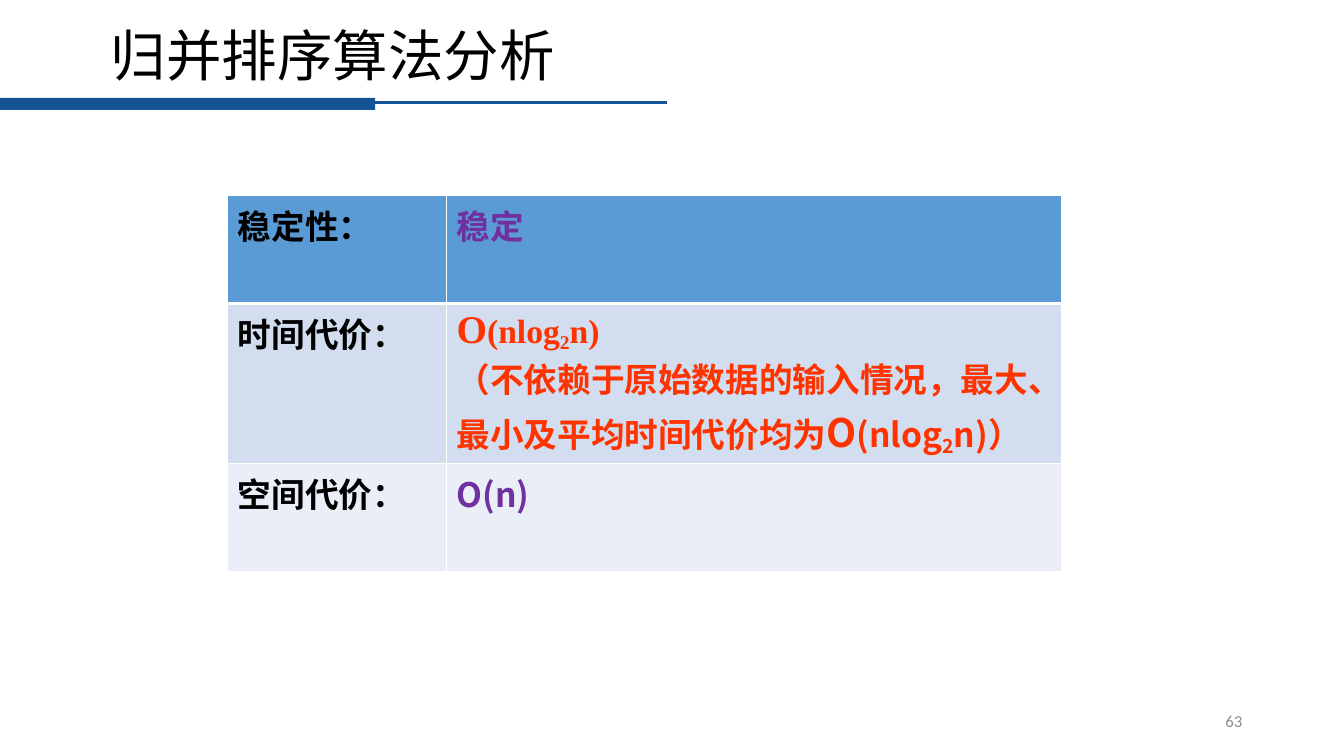
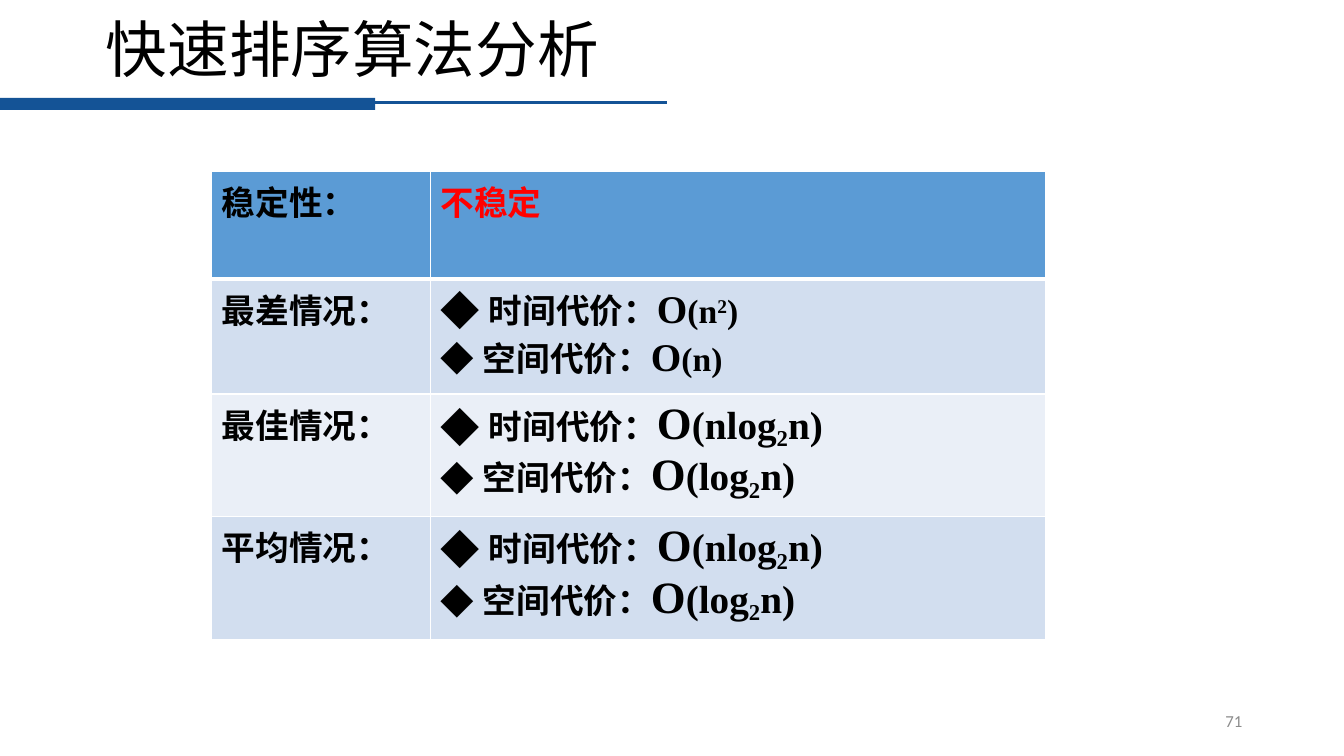
from dataclasses import dataclass

from lxml import etree
from pptx import Presentation
from pptx.dml.color import RGBColor
from pptx.enum import shapes, text
from pptx.oxml import ns
from pptx.util import Inches, Pt

BAND = "145396"
HEADER, DARK_ROW, LIGHT_ROW = "5B9BD5", "D2DEEF", "EAEFF7"
WHITE, BLACK, GRAY = "FFFFFF", "000000", "8C8C8C"
PURPLE, ORANGE, RED = "7030A0", "FF3300", "FF0000"
LATIN, CJK, SERIF = "Calibri", "Noto Sans CJK SC", "Times New Roman"
COLUMN_WIDTHS = (2.17, 6.1)
SUBSCRIPT, SUPERSCRIPT = -18, 30


@dataclass
class Run:
    text: str
    font: str = CJK
    size: int = 24
    baseline: int = 0  # percent: below zero is a subscript


@dataclass
class Line:
    runs: list
    color: str = BLACK
    indent: float = 0  # hanging indent; above zero adds a bullet
    bullet_percent: int = 100


def rgb(value):
    return RGBColor.from_string(value)


def add_element(parent, tag, **attributes):
    return etree.SubElement(parent, ns.qn(tag), attributes)


def set_font(font, name, size, color):
    font.name, font.size = name, Pt(size)
    font.color.rgb = rgb(color)


def big_o(inside, digit="", after="", size=24, font=SERIF, baseline=SUBSCRIPT):
    """Runs of a complexity: a larger O, then its bracket with a raised or lowered digit."""
    runs = [Run("O", font, size + 4), Run("(" + inside, font, size)]
    if digit:
        runs += [Run(digit, font, size, baseline), Run(after, font, size)]
    return runs


def costs(time, space):
    """Two bulleted lines: time cost, then space cost."""
    return [
        Line([Run("时间代价：")] + time, indent=0.48, bullet_percent=117),
        Line([Run("空间代价：")] + space, indent=0.42),
    ]


def add_bullet(paragraph, line):
    properties = paragraph._p.get_or_add_pPr()
    properties.set("marL", str(Inches(line.indent)))
    properties.set("indent", str(-Inches(line.indent)))
    add_element(properties, "a:buSzPct", val=str(line.bullet_percent * 1000))
    add_element(properties, "a:buFont", typeface=CJK)
    add_element(properties, "a:buChar", char="◆")


def write_lines(frame, lines):
    for index, line in enumerate(lines):
        paragraph = frame.add_paragraph() if index else frame.paragraphs[0]
        if line.indent:
            add_bullet(paragraph, line)
        for part in line.runs:
            run = paragraph.add_run()
            run.text = part.text
            set_font(run.font, part.font, part.size, line.color)
            run.font.bold = True
            if part.baseline:
                run._r.get_or_add_rPr().set("baseline", str(part.baseline * 1000))


def set_borders(cell, top, bottom):
    properties = cell._tc.get_or_add_tcPr()
    for side, width in zip("LRTB", (1, 1, top, bottom)):
        border = add_element(properties, "a:ln" + side, w=str(Pt(width)))
        fill = add_element(border, "a:solidFill")
        add_element(fill, "a:srgbClr", val=WHITE)


def add_analysis_table(slide, left, top, rows):
    """Each row is (height, label, lines)."""
    height = sum(row[0] for row in rows)
    table = slide.shapes.add_table(
        len(rows), 2, Inches(left), Inches(top),
        Inches(sum(COLUMN_WIDTHS)), Inches(height)).table
    table.first_row = table.horz_banding = False
    for column, width in zip(table.columns, COLUMN_WIDTHS):
        column.width = Inches(width)
    for index, (row_height, label, lines) in enumerate(rows):
        table.rows[index].height = Inches(row_height)
        color = (DARK_ROW if index % 2 else LIGHT_ROW) if index else HEADER
        contents = ([Line([Run(label, LATIN)])], lines)
        for cell, content in zip(table.rows[index].cells, contents):
            set_borders(cell, 3 if index == 1 else 1, 1 if index else 3)
            cell.fill.solid()
            cell.fill.fore_color.rgb = rgb(color)
            write_lines(cell.text_frame, content)


def add_title_band(slide):
    bar = slide.shapes.add_shape(
        shapes.MSO_SHAPE.RECTANGLE, 0, Inches(0.97), Inches(3.72), Inches(0.12))
    bar.shadow.inherit = False
    bar.fill.solid()
    bar.fill.fore_color.rgb = rgb(BAND)
    bar.line.fill.background()
    rule = slide.shapes.add_connector(
        shapes.MSO_CONNECTOR.STRAIGHT,
        Inches(3.68), Inches(1.02), Inches(6.62), Inches(1.02))
    rule.line.color.rgb = rgb(BAND)
    rule.line.width = Pt(2.25)
    add_element(rule._element.spPr, "a:effectLst")


def add_page_number(slide, number):
    box = slide.shapes.add_textbox(Inches(9.42), Inches(6.95), Inches(3), Inches(0.4))
    frame = box.text_frame
    frame.word_wrap = True
    frame.vertical_anchor = text.MSO_ANCHOR.MIDDLE
    paragraph = frame.paragraphs[0]
    paragraph.text = str(number)
    paragraph.alignment = text.PP_ALIGN.RIGHT
    set_font(paragraph.font, LATIN, 12, GRAY)


def add_slide(presentation, title, place, size, number):
    """A slide with the shared band, title style and page number."""
    slide = presentation.slides.add_slide(presentation.slide_layouts[5])
    add_title_band(slide)
    shape = slide.shapes.title
    shape.left, shape.top, shape.width, shape.height = map(Inches, place)
    frame = shape.text_frame
    frame.auto_size = text.MSO_AUTO_SIZE.NONE
    frame.vertical_anchor = text.MSO_ANCHOR.MIDDLE
    paragraph = frame.paragraphs[0]
    paragraph.text = title
    paragraph.alignment = text.PP_ALIGN.LEFT
    paragraph.line_spacing = 0.9
    set_font(paragraph.font, LATIN, size, BLACK)
    add_page_number(slide, number)
    return slide


def add_merge_sort(presentation):
    slide = add_slide(presentation, "归并排序算法分析", (1, 0.21, 11.5, 0.75), 39.6, 63)
    remark = [Run("（不依赖于原始数据的输入情况，最大、最小及平均时间代价均为")]
    remark += big_o("nlog", "2", "n)）", font=CJK)
    add_analysis_table(slide, 2.26, 1.94, [
        (1.07, "稳定性：", [Line([Run("稳定")], PURPLE)]),
        (1.59, "时间代价：", [Line(big_o("nlog", "2", "n)"), ORANGE), Line(remark, ORANGE)]),
        (1.07, "空间代价：", [Line([Run("O(n)")], PURPLE)]),
    ])


def add_quick_sort(presentation):
    slide = add_slide(presentation, "快速排序算法分析", (0.95, 0.11, 11.5, 0.83), 44, 71)
    worst = costs(big_o("n", "2", ")", baseline=SUPERSCRIPT), big_o("n)"))
    usual = costs(big_o("nlog", "2", "n)", size=28), big_o("log", "2", "n)", size=28))
    add_analysis_table(slide, 2.1, 1.7, [
        (1.07, "稳定性：", [Line([Run("不稳定")], RED)]),
        (1.14, "最差情况：", worst),
        (1.18, "最佳情况：", usual),
        (1.18, "平均情况：", usual),
    ])


def main():
    presentation = Presentation()
    presentation.slide_width, presentation.slide_height = Inches(13.33), Inches(7.5)
    add_merge_sort(presentation)
    add_quick_sort(presentation)
    presentation.save("out.pptx")


if __name__ == "__main__":
    main()
